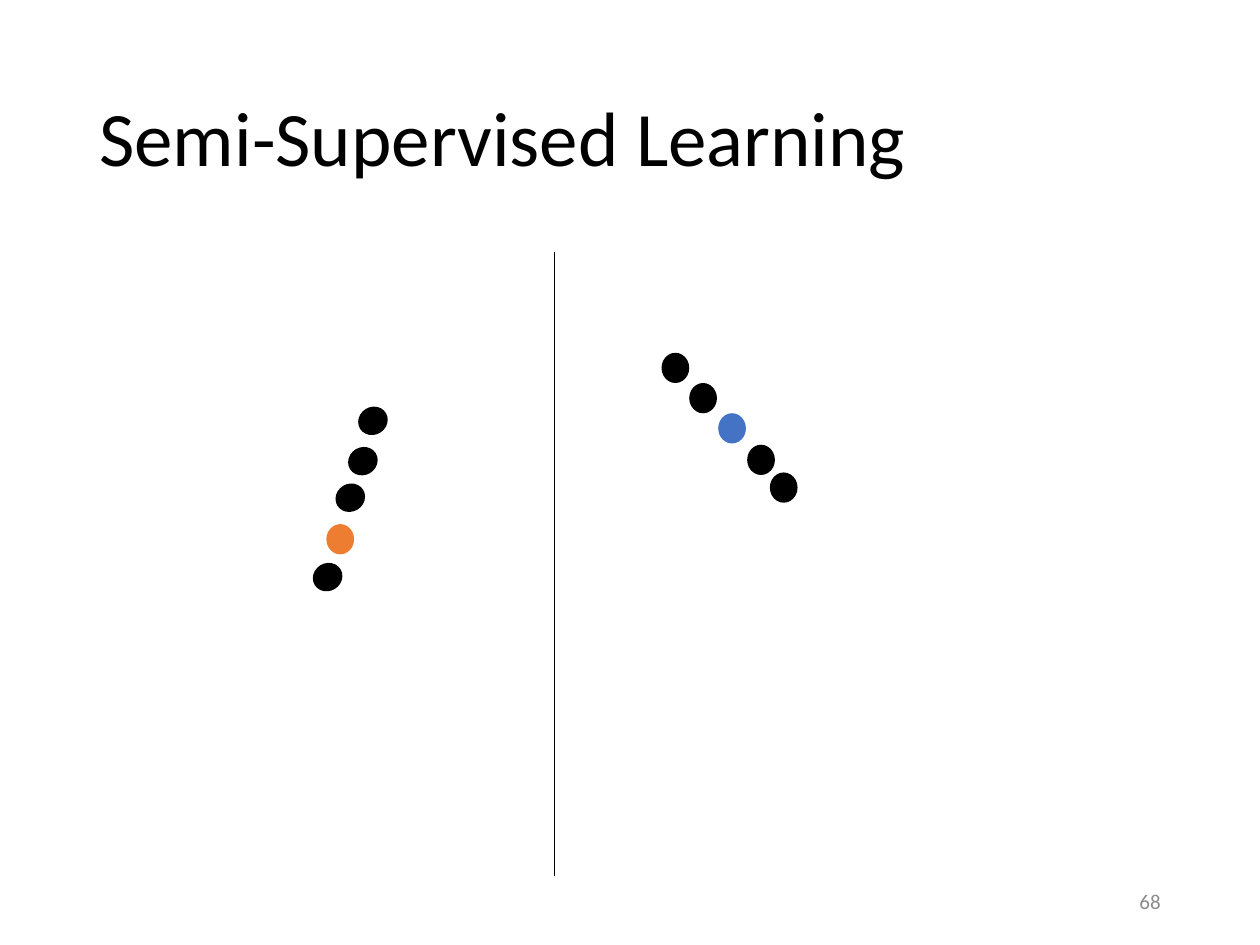
import pptx
import pptx.dml.color
import pptx.enum.shapes
import pptx.enum.text
import pptx.oxml.ns
import pptx.util
from lxml import etree

Pt = pptx.util.Pt
ALIGN = pptx.enum.text.PP_ALIGN

THEME = {
    "font": "Calibri",
    "title_size": 44,
    "number_size": 12,
    "ink": "000000",
    "muted": "8C8C8C",
    "blue": "4472C4",
    "orange": "ED7D31",
}

# Content: text boxes and the two classes of points (left, top)
TEXTS = [
    {"text": "Semi-Supervised Learning", "at": (49.68, 28.8, 620.64, 104.4),
     "size": "title_size", "color": "ink", "align": ALIGN.LEFT, "spacing": 0.9},
    {"text": "68", "at": (508.32, 500.4, 162, 28.8),
     "size": "number_size", "color": "muted", "align": ALIGN.RIGHT, "spacing": 1.0},
]
DOT_SIZE = (15.84, 17.28)
CLASSES = [
    {"label_color": "blue", "labelled": (410.4, 236.16), "tilt": 0,
     "unlabelled": [(426.96, 254.16), (439.92, 270), (393.84, 218.88), (378, 201.6)]},
    {"label_color": "orange", "labelled": (186.48, 299.52), "tilt": 58.5,
     "unlabelled": [(179.28, 321.12), (199.44, 254.88), (205.2, 231.84), (192.24, 275.76)]},
]
BOUNDARY = {"x": 316.8, "top": 144, "bottom": 500.4, "width": 0.5}


def color(name):
    return pptx.dml.color.RGBColor.from_string(THEME[name])


def add_text(slide, item):
    box = slide.shapes.add_textbox(*map(Pt, item["at"]))
    frame = box.text_frame
    frame.word_wrap = True
    frame.vertical_anchor = pptx.enum.text.MSO_ANCHOR.MIDDLE
    para = frame.paragraphs[0]
    para.alignment = item["align"]
    para.line_spacing = item["spacing"]
    span = para.add_run()
    span.text = item["text"]
    span.font.name = THEME["font"]
    span.font.size = Pt(THEME[item["size"]])
    span.font.color.rgb = color(item["color"])


def add_dot(slide, position, fill, tilt=0):
    dot = slide.shapes.add_shape(
        pptx.enum.shapes.MSO_SHAPE.OVAL, *map(Pt, position + DOT_SIZE))
    dot.rotation = tilt
    dot.shadow.inherit = False
    dot.fill.solid()
    dot.fill.fore_color.rgb = color(fill)
    dot.line.fill.background()


def add_boundary(slide):
    x = Pt(BOUNDARY["x"])
    line = slide.shapes.add_connector(
        pptx.enum.shapes.MSO_CONNECTOR.STRAIGHT,
        x, Pt(BOUNDARY["top"]), x, Pt(BOUNDARY["bottom"]))
    line.line.color.rgb = color("ink")
    line.line.width = Pt(BOUNDARY["width"])
    etree.SubElement(line._element.spPr, pptx.oxml.ns.qn("a:effectLst"))


def main():
    deck = pptx.Presentation()
    deck.slide_width, deck.slide_height = Pt(720), Pt(540)
    page = deck.slides.add_slide(deck.slide_layouts[6])

    # Title and page number
    for item in TEXTS:
        add_text(page, item)

    # Decision boundary
    add_boundary(page)

    # One labelled dot per class, the rest unlabelled
    for group in CLASSES:
        add_dot(page, group["labelled"], group["label_color"])
    for group in CLASSES:
        for position in group["unlabelled"]:
            add_dot(page, position, "ink", group["tilt"])

    deck.save("out.pptx")


if __name__ == "__main__":
    main()
